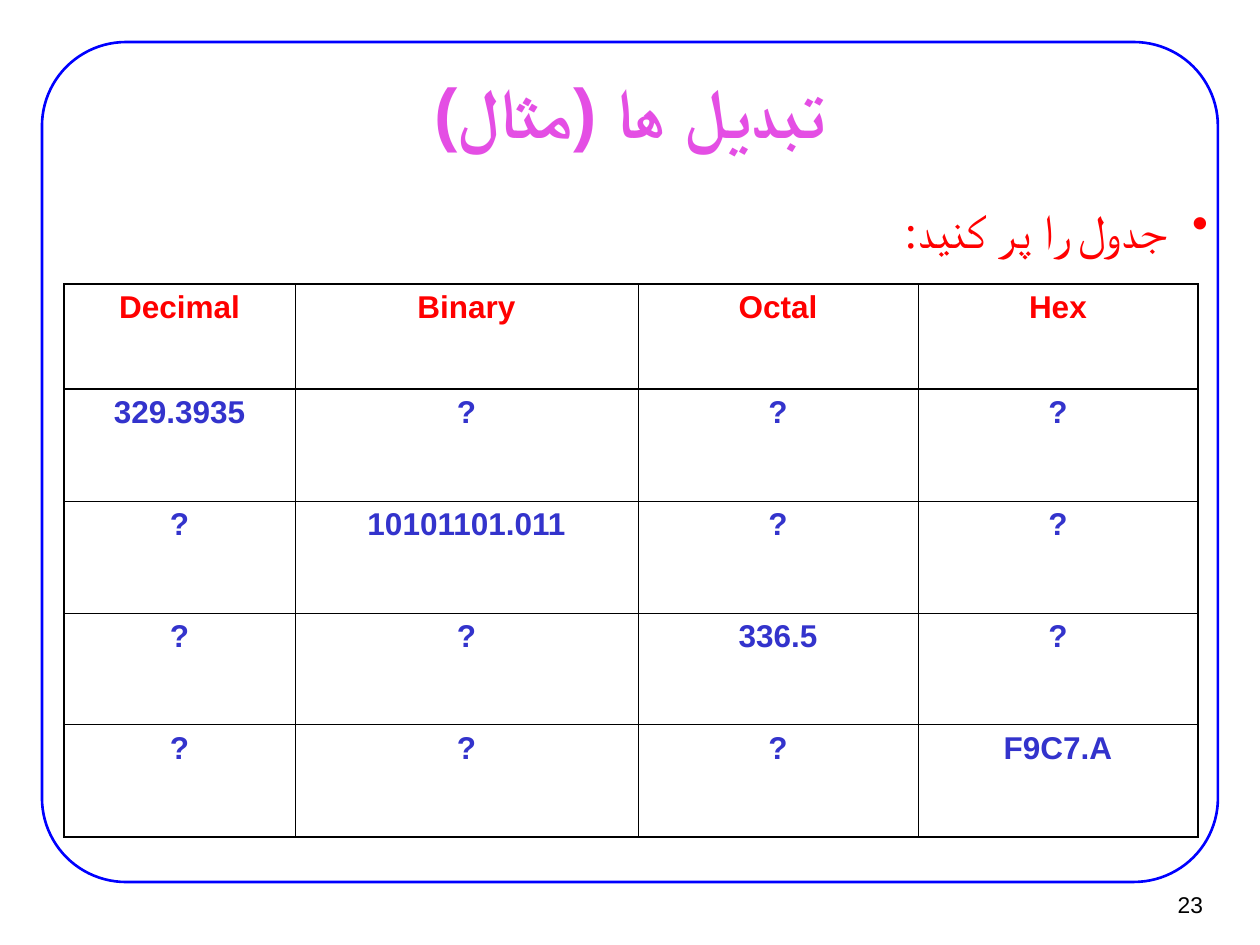
"""Builds the number base conversion exercise slide."""
from lxml import etree
from pptx import Presentation
from pptx.dml.color import RGBColor
from pptx.enum.shapes import MSO_SHAPE
from pptx.enum.text import MSO_ANCHOR, PP_ALIGN
from pptx.oxml.ns import qn
from pptx.util import Emu, Pt

SCALE = 914400 // 126
ROUNDED = MSO_SHAPE.ROUNDED_RECTANGLE
TOP, MIDDLE = MSO_ANCHOR.TOP, MSO_ANCHOR.MIDDLE
CENTER, RIGHT = PP_ALIGN.CENTER, PP_ALIGN.RIGHT
BLACK, WHITE, RED, BLUE = "000000", "FFFFFF", "FF0000", "0000FF"
PINK, INDIGO = "E44EE4", "3333CC"
THICK, THIN = 1.08, 0.45

HEADINGS = ["Decimal", "Binary", "Octal", "Hex"]
GIVEN = ["329.3935", "10101101.011", "336.5", "F9C7.A"]
COLUMNS = [231, 343, 280, 280]
ROWS = [105] + [112] * 4


def px(length):
    return Emu(length * SCALE)


def color(value):
    return RGBColor.from_string(value)


class SlideBuilder:
    def __init__(self, deck, font="Arial"):
        self.font = font
        self.page = deck.slides.add_slide(deck.slide_layouts[6])
        self.page.background.fill.solid()
        self.page.background.fill.fore_color.rgb = color(WHITE)

    def frame(self, left, top, width, height, line, weight, rounding):
        box = self.page.shapes.add_shape(ROUNDED, px(left), px(top), px(width), px(height))
        box.shadow.inherit = False
        box.adjustments[0] = rounding
        box.fill.background()
        box.line.color.rgb = color(line)
        box.line.width = Pt(weight)

    def add_span(self, para, text, size, tint, align, bold=False, font=None, rtl=True):
        para.alignment = align
        if rtl:
            para._p.get_or_add_pPr().set("rtl", "1")
        span = para.add_run()
        span.text = text
        span.font.name = font or self.font
        span.font.size = Pt(size)
        span.font.bold = bold
        span.font.color.rgb = color(tint)
        etree.SubElement(span._r.get_or_add_rPr(), qn("a:cs"), typeface=font or self.font)

    def text(self, area, text, size, tint, align, anchor=TOP, wrap=True, insets=(13, 6), **style):
        box = self.page.shapes.add_textbox(*map(px, area))
        body = box.text_frame
        body.word_wrap = wrap
        body.vertical_anchor = anchor
        body.margin_left = body.margin_right = px(insets[0])
        body.margin_top = body.margin_bottom = px(insets[1])
        para = body.paragraphs[0]
        self.add_span(para, text, size, tint, align, **style)
        return para

    def bullet(self, para, tint, indent):
        props = para._p.get_or_add_pPr()
        props.set("marL", str(px(indent)))
        props.set("indent", str(-px(indent)))
        holder = etree.SubElement(props, qn("a:buClr"))
        etree.SubElement(holder, qn("a:srgbClr"), val=tint)
        etree.SubElement(props, qn("a:buChar"), char="•")

    def border(self, cell, side, weight):
        line = etree.SubElement(cell._tc.get_or_add_tcPr(), qn(f"a:ln{side}"), w=str(Pt(weight)))
        fill = etree.SubElement(line, qn("a:solidFill"))
        etree.SubElement(fill, qn("a:srgbClr"), val=BLACK)

    def table(self, left, top, columns, rows, values):
        area = map(px, (left, top, sum(columns), sum(rows)))
        grid = self.page.shapes.add_table(len(rows), len(columns), *area).table
        grid.first_row = grid.horz_banding = False
        for column, width in zip(grid.columns, columns):
            column.width = px(width)
        for row, height in zip(grid.rows, rows):
            row.height = px(height)
        for r, line in enumerate(values):
            for c, value in enumerate(line):
                cell = grid.cell(r, c)
                outer = {"L": c == 0, "R": c == len(columns) - 1,
                         "T": r <= 1, "B": r in (0, len(rows) - 1)}
                for side, thick in outer.items():
                    self.border(cell, side, THICK if thick else THIN)
                cell.fill.background()
                cell.margin_left = cell.margin_right = px(13)
                cell.margin_top = cell.margin_bottom = px(6)
                para = cell.text_frame.paragraphs[0]
                para.space_before = Pt(4.5)
                self.add_span(para, value, 18, INDIGO if r else RED, CENTER, bold=True)


def main():
    deck = Presentation()
    deck.slide_width, deck.slide_height = px(1260), px(945)
    slide = SlideBuilder(deck)
    slide.frame(42, 42, 1176, 840, BLUE, 1.5, 0.1)
    slide.text((1137, 881, 77, 46), "23", 13, BLACK, RIGHT, MIDDLE, wrap=False,
               insets=(11, 5), rtl=False)
    slide.text((94, 32, 1072, 157), "تبديل ها (مثال)", 40, PINK, CENTER, MIDDLE,
               insets=(14, 8), bold=True)
    prompt = slide.text((843, 195, 379, 69), "جدول را پر کنيد:", 27, RED, RIGHT,
                        wrap=False, font="Times New Roman")
    slide.bullet(prompt, RED, 42)
    size = len(GIVEN)
    exercises = [[GIVEN[r] if r == c else "?" for c in range(size)] for r in range(size)]
    slide.table(64, 284, COLUMNS, ROWS, [HEADINGS] + exercises)
    deck.save("out.pptx")


if __name__ == "__main__":
    main()
